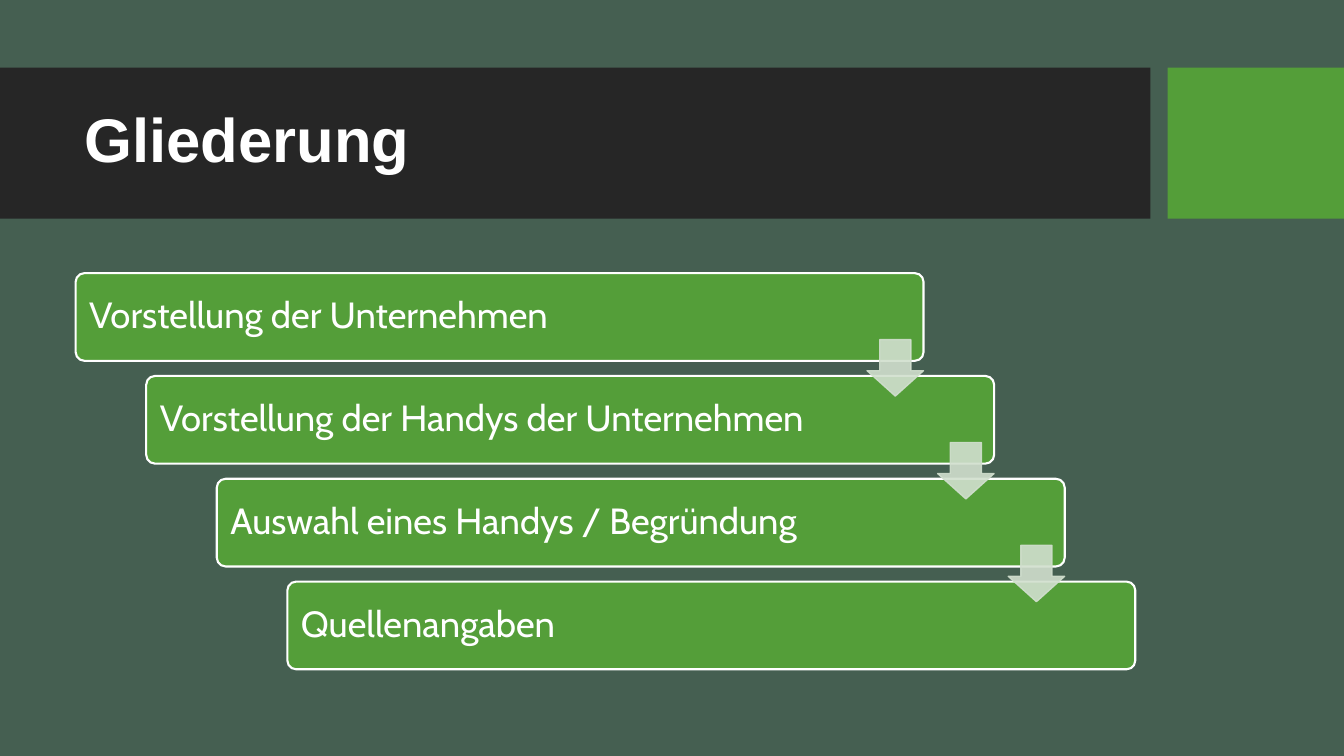
from lxml import etree
from pptx import Presentation
from pptx.dml.color import RGBColor
from pptx.enum.shapes import MSO_SHAPE
from pptx.enum.text import MSO_ANCHOR, PP_ALIGN
from pptx.oxml.ns import qn
from pptx.util import Inches, Pt

RECT = MSO_SHAPE.RECTANGLE
ROUND = MSO_SHAPE.ROUNDED_RECTANGLE
ARROW = MSO_SHAPE.DOWN_ARROW
MIDDLE = MSO_ANCHOR.MIDDLE
LEFT = PP_ALIGN.LEFT

COLORS = {"back": "455F51", "dark": "262626", "green": "549E39",
          "white": "FFFFFF", "arrow": "D1DFCE"}
STEPS = ["Vorstellung der Unternehmen",
         "Vorstellung der Handys der Unternehmen",
         "Auswahl eines Handys / Begründung",
         "Quellenangaben"]
X0, Y0, DX, DY = 0.75, 2.71, 0.7, 1.02
BOX_W, BOX_H, ARROW_SIZE, ARROW_DROP = 8.41, 0.87, 0.56, 0.66

prs = Presentation()
prs.slide_width, prs.slide_height = Inches(13.33), Inches(7.5)
s = prs.slides.add_slide(prs.slide_layouts[6])
s.background.fill.solid()
s.background.fill.fore_color.rgb = RGBColor.from_string(COLORS["back"])


def add_block(kind, x, y, w, h, fill, line=None, width=0):
    sp = s.shapes.add_shape(kind, Inches(x), Inches(y), Inches(w), Inches(h))
    sp.shadow.inherit = False
    sp.fill.solid()
    sp.fill.fore_color.rgb = RGBColor.from_string(COLORS[fill])
    if line:
        sp.line.color.rgb = RGBColor.from_string(COLORS[line])
        sp.line.width = Pt(width)
    else:
        sp.line.fill.background()
    return sp


def add_text(sp, text, font, size, bold=False):
    tf = sp.text_frame
    tf.word_wrap = True
    tf.vertical_anchor = MIDDLE
    p = tf.paragraphs[0]
    p.alignment = LEFT
    p.line_spacing = 0.9
    r = p.add_run()
    r.text = text
    r.font.name = font
    r.font.size = Pt(size)
    r.font.bold = bold
    r.font.color.rgb = RGBColor.from_string(COLORS["white"])
    return tf


add_block(RECT, 0, 0.67, 11.41, 1.5, "dark")
add_block(RECT, 11.58, 0.67, 1.75, 1.5, "green")
title = s.shapes.add_textbox(Inches(0.74), Inches(0.82), Inches(10.51), Inches(1.18))
add_text(title, "Gliederung", "Arial", 44, True)

for i, step in enumerate(STEPS):
    sp = add_block(ROUND, X0 + i * DX, Y0 + i * DY, BOX_W, BOX_H, "green", "white", 1.5)
    sp.adjustments[0] = 0.1
    tf = add_text(sp, step, "Cabin", 26)
    tf.margin_left = tf.margin_right = Inches(0.11)

for i in range(len(STEPS) - 1):
    sp = add_block(ARROW, X0 + i * DX + BOX_W - ARROW_SIZE, Y0 + i * DY + ARROW_DROP,
                   ARROW_SIZE, ARROW_SIZE, "arrow", "arrow", 1)
    sp.adjustments[0] = 0.55
    sp.adjustments[1] = 0.45
    for clr in sp.element.spPr.iter(qn("a:srgbClr")):
        etree.SubElement(clr, qn("a:alpha"), val="90000")

prs.save("out.pptx")
